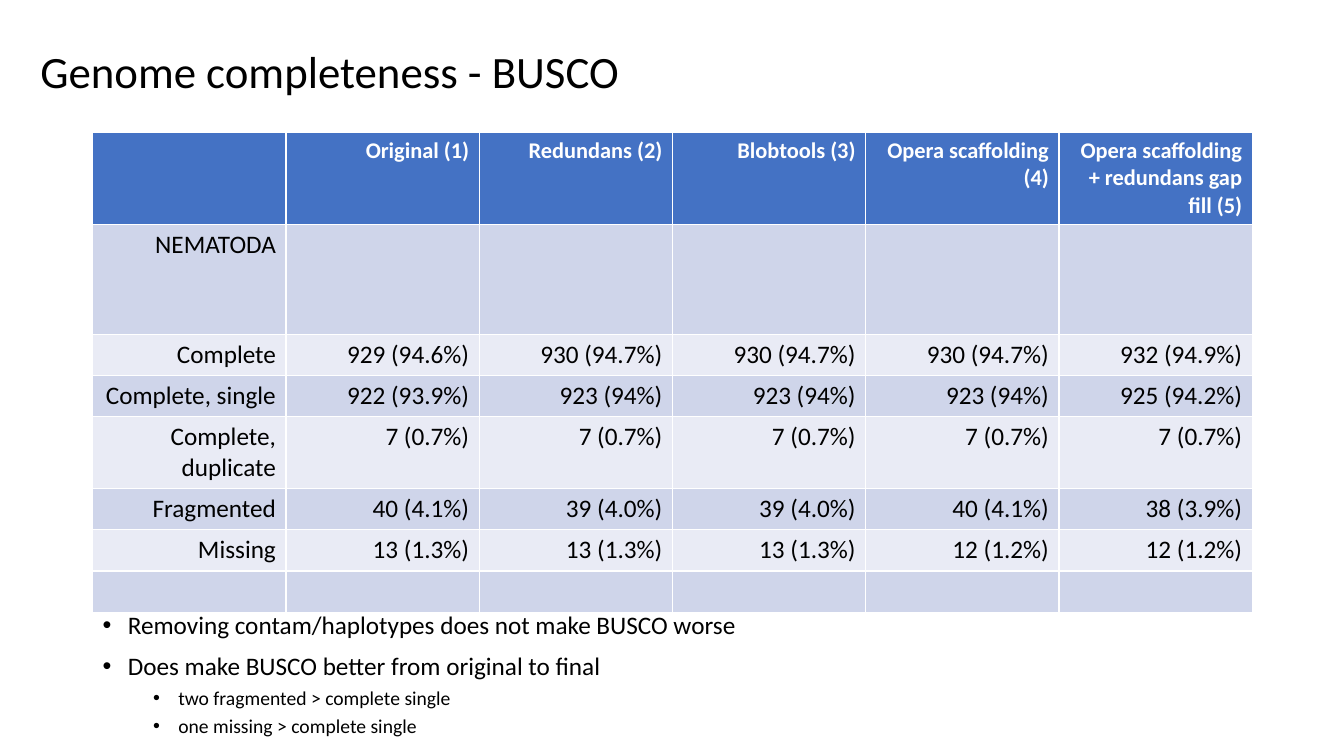
from pptx import Presentation
from pptx.dml.color import RGBColor
from pptx.enum.text import MSO_ANCHOR, MSO_AUTO_SIZE, PP_ALIGN
from pptx.oxml.ns import qn
from pptx.util import Inches, Pt
from lxml.etree import SubElement

TITLE = "Genome completeness - BUSCO"
HEADS = ["", "Original (1)", "Redundans (2)", "Blobtools (3)",
         "Opera scaffolding (4)", "Opera scaffolding + redundans gap fill (5)"]
ROWS = [
    ["NEMATODA", "", "", "", "", ""],
    ["Complete", "929 (94.6%)", "930 (94.7%)", "930 (94.7%)", "930 (94.7%)", "932 (94.9%)"],
    ["Complete, single", "922 (93.9%)", "923 (94%)", "923 (94%)", "923 (94%)", "925 (94.2%)"],
    ["Complete, duplicate", "7 (0.7%)", "7 (0.7%)", "7 (0.7%)", "7 (0.7%)", "7 (0.7%)"],
    ["Fragmented", "40 (4.1%)", "39 (4.0%)", "39 (4.0%)", "40 (4.1%)", "38 (3.9%)"],
    ["Missing", "13 (1.3%)", "13 (1.3%)", "13 (1.3%)", "12 (1.2%)", "12 (1.2%)"],
    ["", "", "", "", "", ""],
]
HEIGHTS = [0.91, 1.09, 0.41, 0.41, 0.71, 0.41, 0.41, 0.41]
NOTES = [
    (0, "Removing contam/haplotypes does not make BUSCO worse"),
    (0, "Does make BUSCO better from original to final"),
    (1, "two fragmented > complete single"),
    (1, "one missing > complete single"),
]
LEVELS = [
    {"left": 0.25, "size": 18, "before": 10},
    {"left": 0.75, "size": 14, "before": 5},
]
COLORS = {"head": "4472C4", "dark": "CFD5EA", "light": "E9EBF5",
          "text": "000000", "white": "FFFFFF"}
LEFT, WIDTH = 0.92, 11.5


def style(font, size, color="text", bold=False):
    values = {"name": "Calibri", "size": Pt(size), "bold": bold}
    for key, value in values.items():
        setattr(font, key, value)
    font.color.rgb = RGBColor.from_string(COLORS[color])


def add_title(slide):
    title = slide.shapes.title
    place = {"left": 0, "top": 0.01, "width": WIDTH, "height": 1.45}
    for key, value in place.items():
        setattr(title, key, Inches(value))
    frame = title.text_frame
    frame.text = TITLE
    settings = {"margin_left": Inches(0.4), "word_wrap": True,
                "auto_size": MSO_AUTO_SIZE.NONE,
                "vertical_anchor": MSO_ANCHOR.MIDDLE}
    for key, value in settings.items():
        setattr(frame, key, value)
    para = frame.paragraphs[0]
    para.alignment = PP_ALIGN.LEFT
    para.line_spacing = 0.9
    style(para.runs[0].font, 32)


def add_scores(slide):
    data = [HEADS] + ROWS
    table = slide.shapes.add_table(
        len(data), len(HEADS), Inches(LEFT), Inches(1.31),
        Inches(WIDTH), Inches(sum(HEIGHTS))).table
    for row, height in zip(table.rows, HEIGHTS):
        row.height = Inches(height)
    for r, values in enumerate(data):
        fill = "head" if r == 0 else "dark" if r % 2 else "light"
        look = (16, "white", True) if r == 0 else (18, "text", False)
        for c, value in enumerate(values):
            cell = table.cell(r, c)
            cell.fill.solid()
            cell.fill.fore_color.rgb = RGBColor.from_string(COLORS[fill])
            cell.text = value
            para = cell.text_frame.paragraphs[0]
            para.alignment = PP_ALIGN.RIGHT
            style(para.font, *look)
            for run in para.runs:
                style(run.font, *look)


def add_notes(slide):
    box = slide.shapes.add_textbox(
        Inches(LEFT), Inches(6.03), Inches(WIDTH), Inches(1.14))
    frame = box.text_frame
    frame.word_wrap = True
    for i, (level, text) in enumerate(NOTES):
        para = frame.add_paragraph() if i else frame.paragraphs[0]
        form = LEVELS[level]
        para.level = level
        para.line_spacing = 0.9
        para.space_before = Pt(form["before"] if i else 0)
        props = para._p.get_or_add_pPr()
        props.set("marL", str(Inches(form["left"])))
        props.set("indent", str(Inches(-0.25)))
        SubElement(props, qn("a:buFont")).set("typeface", "Arial")
        SubElement(props, qn("a:buChar")).set("char", "•")
        run = para.add_run()
        run.text = text
        style(run.font, form["size"])


def main():
    deck = Presentation()
    deck.slide_width, deck.slide_height = Inches(13.33), Inches(7.5)
    slide = deck.slides.add_slide(deck.slide_layouts[5])
    add_title(slide)
    add_scores(slide)
    add_notes(slide)
    deck.save("out.pptx")


if __name__ == "__main__":
    main()
